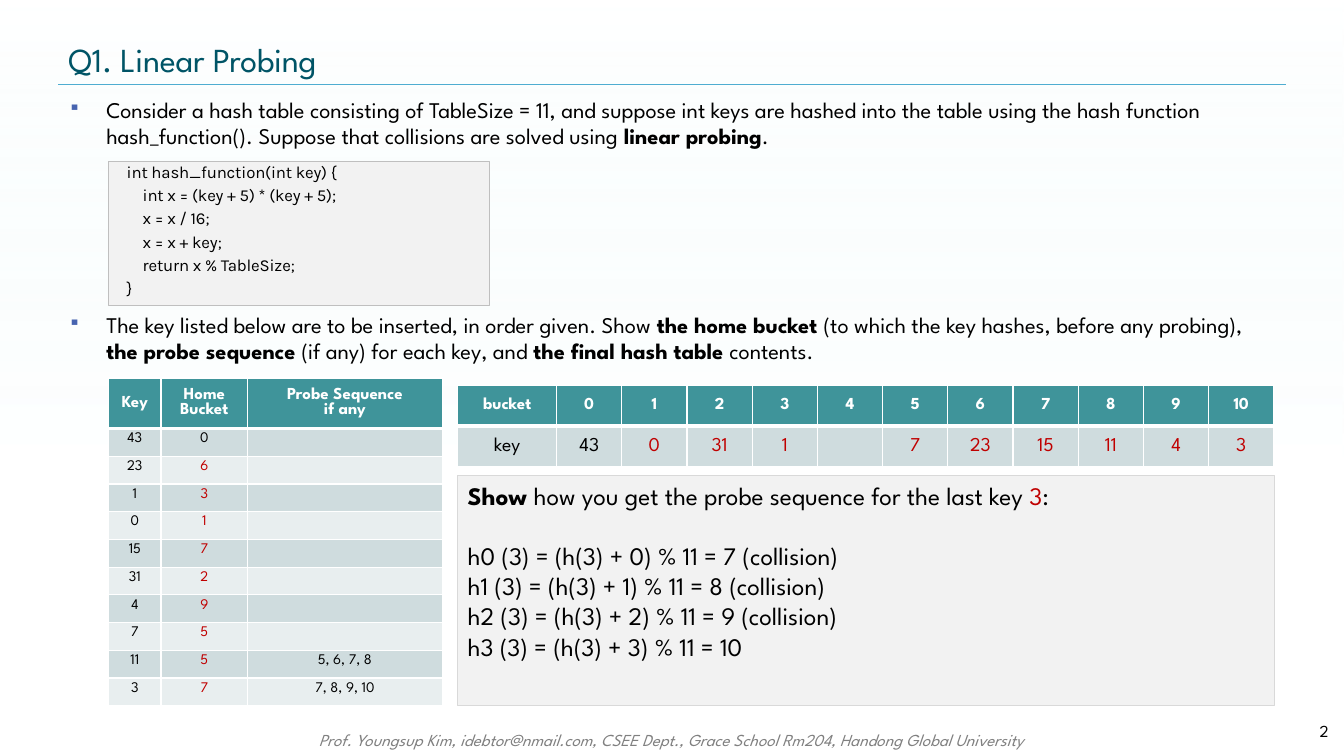
from lxml import etree
from pptx import Presentation
from pptx.dml.color import RGBColor
from pptx.enum.shapes import MSO_CONNECTOR, MSO_SHAPE
from pptx.enum.text import MSO_ANCHOR, PP_ALIGN
from pptx.oxml import parse_xml
from pptx.oxml.ns import qn
from pptx.util import Pt

LEFT, CENTER, RIGHT = PP_ALIGN.LEFT, PP_ALIGN.CENTER, PP_ALIGN.RIGHT
TOP, MIDDLE = MSO_ANCHOR.TOP, MSO_ANCHOR.MIDDLE
RECTANGLE, STRAIGHT = MSO_SHAPE.RECTANGLE, MSO_CONNECTOR.STRAIGHT
DRAWING = "http://schemas.openxmlformats.org/drawingml/2006/main"


class Theme:
    font, code_font = "League Spartan", "Karla"
    black, white, gray, red = "000000", "FFFFFF", "808080", "C00000"
    title, rule, bullet = "005466", "4FADD1", "4764B0"
    header, band_dark, band_light = "3F949A", "CFDCDE", "E8EEEF"
    panel, code_line, answer_line, wash = "F2F2F2", "BFBFBF", "D9D9D9", "D9F3F4"
    title_size, answer_size, body_size, bucket_size = 24, 18, 16, 14
    small_size, key_size = 12, 10.5


# Content: a run is (text, style), a paragraph is a list of runs
BOLD, RED = {"bold": True}, {"color": Theme.red}
TITLE = "Q1. Linear Probing"
FOOTER = ("Prof. Youngsup Kim, idebtor@nmail.com, CSEE Dept., "
          "Grace School Rm204, Handong Global University")
PAGE = "2"
BULLETS = [  # (top, runs)
    (64.8, [
        ("Consider a hash table consisting of TableSize = 11, and suppose int keys are hashed "
         "into the table using the hash function hash_function(). Suppose that collisions are "
         "solved using ", {}),
        ("linear probing", BOLD), (".", {})]),
    (218.4, [
        ("The key listed below are to be inserted, in order given. Show ", {}),
        ("the home bucket ", BOLD),
        ("(to which the key hashes, before any probing), ", {}),
        ("the probe sequence ", BOLD), ("(if any) for each key, and ", {}),
        ("the final hash table ", BOLD), ("contents.", {})]),
]
CODE = [  # (indent level, line)
    (0, "int hash_function(int key) {"),
    (1, "int x = (key + 5) * (key + 5);"),
    (1, "x = x / 16;"),
    (1, "x = x + key;"),
    (1, "return x % TableSize;"),
    (0, "}"),
]
KEY_HEADER = [["Key"], ["Home", "Bucket"], ["Probe Sequence", "if any"]]
KEY_ROWS = [
    ("43", "0", ""), ("23", "6", ""), ("1", "3", ""), ("0", "1", ""), ("15", "7", ""),
    ("31", "2", ""), ("4", "9", ""), ("7", "5", ""),
    ("11", "5", "5, 6, 7, 8"), ("3", "7", "7, 8, 9, 10"),
]
BUCKET_KEYS = ["43", "0", "31", "1", "", "7", "23", "15", "11", "4", "3"]
ANSWER = [
    [("Show ", BOLD), ("how you get the probe sequence for the last key ", {}),
     ("3", RED), (":", {})],
    [("h0 (3) = (h(3) + 0) % 11 = 7 (collision)", {})],
    [("h1 (3) = (h(3) + 1) % 11 = 8 (collision)", {})],
    [("h2 (3) = (h(3) + 2) % 11 = 9 (collision)", {})],
    [("h3 (3) = (h(3) + 3) % 11 = 10", {})],
]

# Layout, in points
SLIDE_WIDTH, SLIDE_HEIGHT = 960, 540
MARGIN, CONTENT_WIDTH, RULE_TOP = 41.8, 877, 60.3
TABLE_LEFT, BUCKET_LEFT, BUCKET_WIDTH = 77.6, 327, 583.2
BULLET_INDENT, CODE_INDENT, CODE_STEP = 27, 5.8, 11.4


def rgb(color):
    return RGBColor.from_string(color)


def add_run(paragraph, text, size, color=Theme.black, bold=False, italic=False,
            font=Theme.font, spacing=None):
    run = paragraph.add_run()
    run.text = text
    run.font.name, run.font.size = font, Pt(size)
    run.font.bold, run.font.italic = bold, italic
    run.font.color.rgb = rgb(color)
    if spacing is not None:
        run.font._element.set("spc", str(spacing))


def write(frame, paragraphs, size, align=LEFT, **base):
    for index, runs in enumerate(paragraphs):
        paragraph = frame.add_paragraph() if index else frame.paragraphs[0]
        paragraph.alignment = align
        for text, style in runs:
            add_run(paragraph, text, size, **{**base, **style})
    return frame.paragraphs


def add_text(slide, box, paragraphs, size, anchor=TOP, **options):
    frame = slide.shapes.add_textbox(*map(Pt, box)).text_frame
    frame.word_wrap, frame.vertical_anchor = True, anchor
    return write(frame, paragraphs, size, **options)


def add_panel(slide, box, line, paragraphs, size, **options):
    shape = slide.shapes.add_shape(RECTANGLE, *map(Pt, box))
    shape.shadow.inherit = False
    shape.fill.solid()
    shape.fill.fore_color.rgb = rgb(Theme.panel)
    shape.line.color.rgb = rgb(line)
    shape.line.width = Pt(0.75)
    shape.text_frame.word_wrap, shape.text_frame.vertical_anchor = True, TOP
    return write(shape.text_frame, paragraphs, size, **options)


def add_bullet(paragraph):
    properties = paragraph._p.get_or_add_pPr()
    properties.set("marL", str(Pt(BULLET_INDENT)))
    properties.set("indent", str(-Pt(BULLET_INDENT)))
    color = etree.SubElement(properties, qn("a:buClr"))
    etree.SubElement(color, qn("a:srgbClr"), val=Theme.bullet)
    etree.SubElement(properties, qn("a:buSzPct"), val="75000")
    etree.SubElement(properties, qn("a:buChar"), char="▪")


def style_cell(cell, fill, bottom_width):
    properties = cell._tc.get_or_add_tcPr()
    for side, width in (("L", 1), ("R", 1), ("T", 1), ("B", bottom_width)):
        border = etree.SubElement(properties, qn(f"a:ln{side}"), w=str(Pt(width)))
        solid = etree.SubElement(border, qn("a:solidFill"))
        etree.SubElement(solid, qn("a:srgbClr"), val=Theme.white)
    cell.fill.solid()
    cell.fill.fore_color.rgb = rgb(fill)


def add_grid(slide, left, top, widths, heights):
    frame = slide.shapes.add_table(len(heights), len(widths), Pt(left), Pt(top),
                                   Pt(sum(widths)), Pt(sum(heights)))
    for column, width in zip(frame.table.columns, widths):
        column.width = Pt(width)
    for row, height in zip(frame.table.rows, heights):
        row.height = Pt(height)
    return frame.table


def fill_cell(cell, lines, size, fill, bottom_width=1, anchor=MIDDLE, **options):
    style_cell(cell, fill, bottom_width)
    cell.vertical_anchor = anchor
    runs = [[(line, {})] if line else [] for line in lines]
    paragraphs = write(cell.text_frame, runs, size, align=CENTER, **options)
    # The end mark's size keeps an empty cell as low as its row
    for paragraph in paragraphs:
        etree.SubElement(paragraph._p, qn("a:endParaRPr"), sz=str(int(size * 100)))
    return paragraphs


def add_background(slide):
    shape = slide.shapes.add_shape(RECTANGLE, 0, 0, Pt(SLIDE_WIDTH), Pt(SLIDE_HEIGHT))
    shape.shadow.inherit = False
    shape.line.fill.background()
    gradient = parse_xml(
        f'<a:gradFill xmlns:a="{DRAWING}" rotWithShape="1"><a:gsLst>'
        f'<a:gs pos="0"><a:srgbClr val="{Theme.wash}"><a:alpha val="0"/></a:srgbClr></a:gs>'
        f'<a:gs pos="61000"><a:srgbClr val="{Theme.white}"><a:alpha val="40000"/></a:srgbClr>'
        '</a:gs></a:gsLst><a:lin ang="5400000" scaled="0"/></a:gradFill>')
    shape._element.spPr.find(qn("a:prstGeom")).addnext(gradient)


def add_rule(slide):
    rule = slide.shapes.add_connector(STRAIGHT, Pt(MARGIN), Pt(RULE_TOP),
                                      Pt(MARGIN + CONTENT_WIDTH), Pt(RULE_TOP))
    rule.line.color.rgb = rgb(Theme.rule)
    rule.line.width = Pt(0.25)
    etree.SubElement(rule._element.spPr, qn("a:effectLst"))
    rule._element.remove(rule._element.find(qn("p:style")))


def add_key_table(slide):
    table = add_grid(slide, TABLE_LEFT, 270, [37.4, 61.9, 139], [36] + [19.8] * len(KEY_ROWS))
    for column, lines in enumerate(KEY_HEADER):
        fill_cell(table.cell(0, column), lines, Theme.small_size, Theme.header, 3,
                  color=Theme.white, bold=True)
    for row, values in enumerate(KEY_ROWS, 1):
        band = Theme.band_dark if row % 2 else Theme.band_light
        for column, value in enumerate(values):
            color = Theme.red if column == 1 and row > 1 else Theme.black
            paragraphs = fill_cell(table.cell(row, column), [value], Theme.key_size, band,
                                   anchor=TOP, color=color)
            paragraphs[0].line_spacing = 0.85


def add_bucket_table(slide):
    count = len(BUCKET_KEYS)
    table = add_grid(slide, BUCKET_LEFT, 275.2, [70.6] + [46.6] * count, [29.2, 29.2])
    buckets = ["bucket"] + [str(number) for number in range(count)]
    for column, (bucket, key) in enumerate(zip(buckets, ["key"] + BUCKET_KEYS)):
        fill_cell(table.cell(0, column), [bucket], Theme.small_size, Theme.header, 3,
                  color=Theme.white, bold=True)
        fill_cell(table.cell(1, column), [key], Theme.bucket_size, Theme.band_dark,
                  color=Theme.red if column > 1 else Theme.black)


def main():
    presentation = Presentation()
    presentation.slide_width, presentation.slide_height = Pt(SLIDE_WIDTH), Pt(SLIDE_HEIGHT)
    slide = presentation.slides.add_slide(presentation.slide_layouts[6])
    # Background, footer, title and rule
    add_background(slide)
    add_text(slide, (142.6, 517.7, 674.6, 21.6), [[(FOOTER, {})]], Theme.small_size,
             align=CENTER, color=Theme.gray, italic=True)
    add_rule(slide)
    add_text(slide, (MARGIN, 24.5, CONTENT_WIDTH, 36), [[(TITLE, {})]], Theme.title_size,
             anchor=MIDDLE, color=Theme.title, spacing=-10)
    add_text(slide, (871.9, 507.6, 84.2, 28.8), [[(PAGE, {})]], Theme.small_size,
             align=RIGHT, anchor=MIDDLE)
    # Bulleted task
    for top, runs in BULLETS:
        add_bullet(add_text(slide, (MARGIN, top, CONTENT_WIDTH, 46), [runs], Theme.body_size)[0])
    # Hash function
    lines = add_panel(slide, (TABLE_LEFT, 115.2, 272.2, 103), Theme.code_line,
                      [[(line, {})] for _, line in CODE], Theme.small_size,
                      font=Theme.code_font, spacing=-10)
    for paragraph, (level, _) in zip(lines, CODE):
        paragraph.line_spacing, paragraph.space_before = 0.75, Pt(5.8)
        paragraph._p.get_or_add_pPr().set("marL", str(Pt(CODE_INDENT + level * CODE_STEP)))
    # Tables and worked answer
    add_key_table(slide)
    add_bucket_table(slide)
    answer = add_panel(slide, (BUCKET_LEFT, 339.8, BUCKET_WIDTH, 164.5), Theme.answer_line,
                       ANSWER, Theme.answer_size)
    answer[1].space_before = Pt(21)
    presentation.save("out.pptx")


if __name__ == "__main__":
    main()
